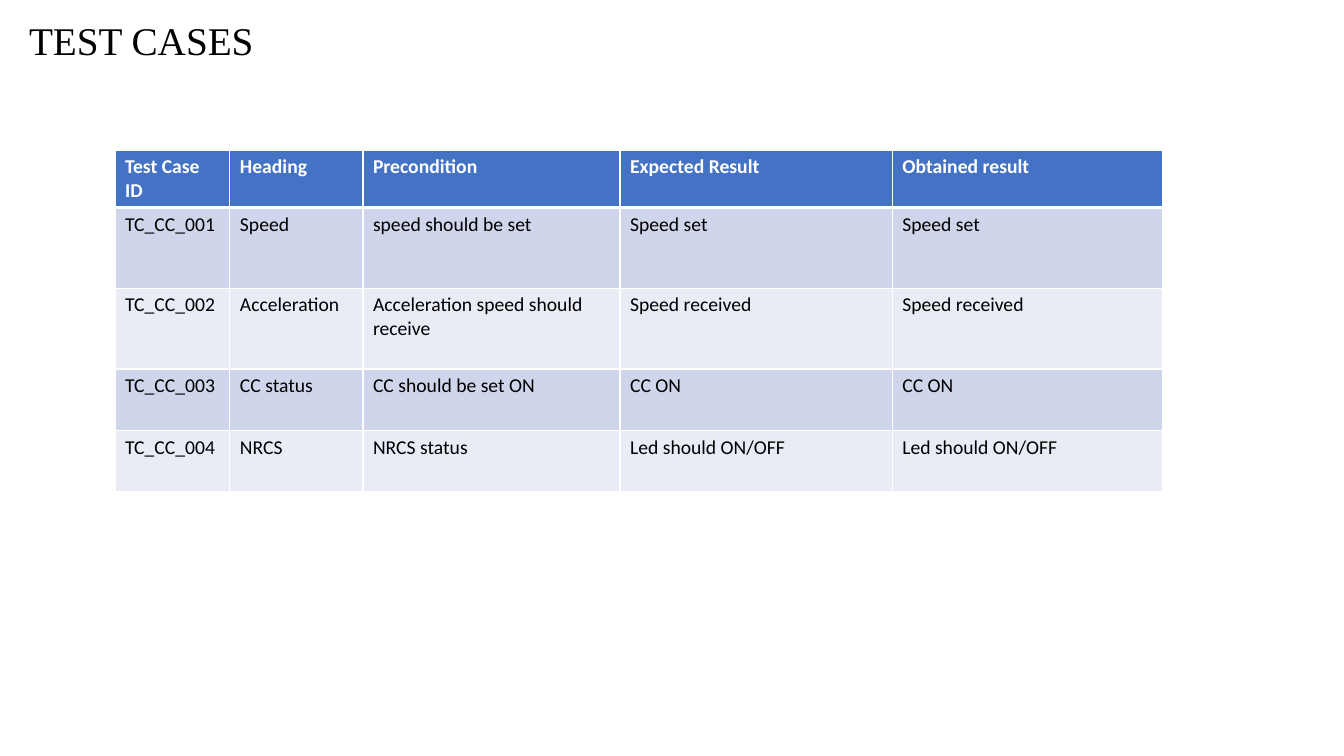
from lxml.etree import SubElement
from pptx import Presentation
from pptx.dml.color import RGBColor
from pptx.enum.text import MSO_ANCHOR
from pptx.oxml.ns import qn
from pptx.util import Inches, Pt

COLORS = {
    "header": "4472C4",
    "odd_row": "CFD5EA",
    "even_row": "E9EBF5",
    "white": "FFFFFF",
    "black": "000000",
}
COLUMN_WIDTHS = [1.14, 1.32, 2.55, 2.7, 2.68]
ROW_HEIGHTS = [0.57, 0.8, 0.8, 0.61, 0.61]
TEST_CASES = [
    ["Test Case ID", "Heading", "Precondition", "Expected Result", "Obtained result"],
    ["TC_CC_001", "Speed", "speed should be set", "Speed set", "Speed set"],
    ["TC_CC_002", "Acceleration", "Acceleration speed should receive",
     "Speed received", "Speed received"],
    ["TC_CC_003", "CC status", "CC should be set ON", "CC ON", "CC ON"],
    ["TC_CC_004", "NRCS", "NRCS status", "Led should ON/OFF", "Led should ON/OFF"],
]


def write_text(text_frame, text, font="Calibri", size=14, color="black",
               bold=False, line_spacing=1.0):
    """Write one formatted paragraph into a text frame."""
    paragraph = text_frame.paragraphs[0]
    paragraph.line_spacing = line_spacing
    run = paragraph.add_run()
    run.text = text
    run.font.name = font
    run.font.size = Pt(size)
    run.font.bold = bold
    run.font.color.rgb = RGBColor.from_string(COLORS[color])


class SlideBuilder:
    """Holds the style and the current slide."""

    def __init__(self, slide, title_font="Times New Roman", border_color="white"):
        """Keep the slide and the shared style."""
        self.slide = slide
        self.title_font = title_font
        self.border_color = border_color

    def add_title(self, text, left, top, width, height):
        """Add the slide heading as a text box."""
        box = self.slide.shapes.add_textbox(
            Inches(left), Inches(top), Inches(width), Inches(height))
        box.text_frame.word_wrap = True
        box.text_frame.vertical_anchor = MSO_ANCHOR.TOP
        write_text(box.text_frame, text, font=self.title_font, size=28,
                   line_spacing=0.9)

    def set_borders(self, cell, **widths):
        """Draw cell borders; widths are points by side, in schema order."""
        properties = cell._tc.get_or_add_tcPr()
        for side, width in widths.items():
            line = SubElement(properties, qn(f"a:ln{side}"), w=str(Pt(width)))
            fill = SubElement(line, qn("a:solidFill"))
            SubElement(fill, qn("a:srgbClr"), val=COLORS[self.border_color])

    def add_table(self, rows, left, top, column_widths, row_heights):
        """Add a table with a header row and alternating row fills."""
        table = self.slide.shapes.add_table(
            len(rows), len(column_widths), Inches(left), Inches(top),
            Inches(sum(column_widths)), Inches(sum(row_heights))).table
        for column, width in zip(table.columns, column_widths):
            column.width = Inches(width)
        for index, (row, height, texts) in enumerate(
                zip(table.rows, row_heights, rows)):
            row.height = Inches(height)
            is_header = index == 0
            fill = "header" if is_header else "odd_row" if index % 2 else "even_row"
            for cell, text in zip(row.cells, texts):
                self.set_borders(cell, L=1, R=1, T=3 if index == 1 else 1,
                                 B=3 if is_header else 1)
                cell.fill.solid()
                cell.fill.fore_color.rgb = RGBColor.from_string(COLORS[fill])
                write_text(cell.text_frame, text, bold=is_header,
                           color="white" if is_header else "black")


def main():
    """Build and save the test case slide."""
    presentation = Presentation()
    presentation.slide_width = Inches(13.33)
    presentation.slide_height = Inches(7.5)
    slide = presentation.slides.add_slide(presentation.slide_layouts[6])
    builder = SlideBuilder(slide)
    builder.add_title("TEST CASES", 0.19, 0.17, 3.67, 0.67)
    builder.add_table(TEST_CASES, 1.14, 1.49, COLUMN_WIDTHS, ROW_HEIGHTS)
    presentation.save("out.pptx")


main()
